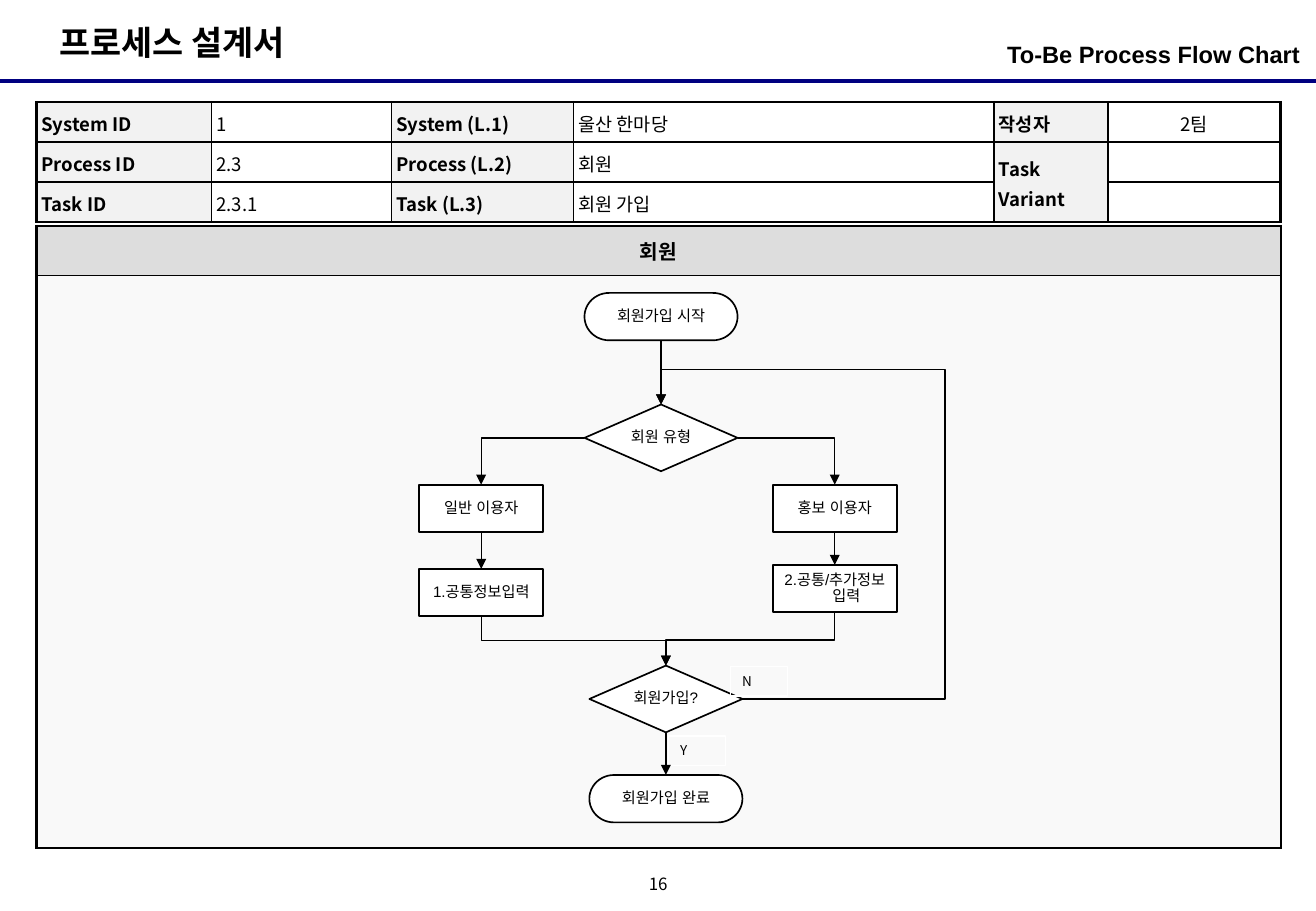
from lxml.etree import SubElement
from pptx import Presentation
from pptx.dml.color import RGBColor
from pptx.enum.shapes import MSO_CONNECTOR, MSO_SHAPE
from pptx.enum.text import MSO_ANCHOR, PP_ALIGN
from pptx.oxml.ns import qn
from pptx.util import Emu, Inches, Pt

W, H = Inches(10.83), Inches(7.5)
COLORS = {"black": "000000", "white": "FFFFFF", "navy": "000080",
          "label": "F2F2F2", "band": "DDDDDD", "panel": "F9F9F9"}
NOTO, ARIAL = "Noto Sans CJK KR", "Arial"
TOP, LEFT, BOTTOM, RIGHT = range(4)
TABLE_X, TABLE_W = 2.77, 94.55
INFO_COLS = [13.3, 13.67, 13.85, 31.95, 8.68, 13.1]
INFO_ROWS = [
    ["System ID", "1", "System (L.1)", "울산 한마당", "작성자", "2팀"],
    ["Process ID", "2.3", "Process (L.2)", "회원", "Task Variant", ""],
    ["Task ID", "2.3.1", "Task (L.3)", "회원 가입", "", ""],
]
# Column centres of the flow, in percent of the slide width
GENERAL, START, JOIN, PROMO = 36.57, 50.23, 50.6, 63.43
WIDE, NARROW, LOW, TALL = 11.63, 9.42, 5.2, 7.33


def color(name):
    return RGBColor.from_string(COLORS[name])


def x(percent):
    return Emu(round(W * percent / 100))


def y(percent):
    return Emu(round(H * percent / 100))


def box(left, top, width, height):
    """Turn percent shares of the slide into lengths."""
    return x(left), y(top), x(width), y(height)


def write(tf, text, size, font=NOTO, bold=False, align=PP_ALIGN.LEFT, spacing=None):
    p = tf.paragraphs[0]
    p.alignment = align
    if spacing:
        p.line_spacing = spacing
    f = p.font
    f.size, f.bold, f.name = Pt(size), bold, font
    f.color.rgb = color("black")
    SubElement(f._element, qn("a:ea"), typeface=font)
    if text:
        p.add_run().text = text
    else:
        SubElement(p._p, qn("a:endParaRPr"), sz=str(size * 100))
    return p


def set_margins(frame, side, end):
    frame.margin_left = frame.margin_right = Inches(side)
    frame.margin_top = frame.margin_bottom = Inches(end)


def add_text(s, place, text, size, margins=(0.1, 0.05), wrap=False,
             anchor=MSO_ANCHOR.TOP, **style):
    tf = s.shapes.add_textbox(*box(*place)).text_frame
    tf.word_wrap, tf.vertical_anchor = wrap, anchor
    set_margins(tf, *margins)
    write(tf, text, size, **style)


def set_borders(cell, **widths):
    tcPr = cell._tc.get_or_add_tcPr()
    for side in "LRTB":
        ln = SubElement(tcPr, qn(f"a:ln{side}"), w=str(Pt(widths[side])))
        fill = SubElement(ln, qn("a:solidFill"))
        SubElement(fill, qn("a:srgbClr"), val=COLORS["black"])


def add_table(s, top, cols, rows, inner):
    """Add an unstyled table with a 1.5 pt frame and inner rules."""
    table = s.shapes.add_table(len(rows), len(cols),
                               *box(TABLE_X, top, sum(cols), sum(rows))).table
    table.first_row = table.horz_banding = False
    for col, width in zip(table.columns, cols):
        col.width = x(width)
    for row, height in zip(table.rows, rows):
        row.height = y(height)
    for i in range(len(rows)):
        for j in range(len(cols)):
            cell = table.cell(i, j)
            set_borders(cell, L=inner if j else 1.5, T=inner if i else 1.5,
                        R=inner if j < len(cols) - 1 else 1.5,
                        B=inner if i < len(rows) - 1 else 1.5)
            cell.fill.background()
    return table


def fill_cell(cell, name):
    cell.fill.solid()
    cell.fill.fore_color.rgb = color(name)


def add_info_table(s):
    table = add_table(s, 11.2, INFO_COLS, [4.39] * 3, 1)
    for i, row in enumerate(INFO_ROWS):
        for j, text in enumerate(row):
            cell, label = table.cell(i, j), j % 2 == 0
            set_margins(cell, 0.04, 0.04)
            cell.vertical_anchor = MSO_ANCHOR.MIDDLE
            write(cell.text_frame, text, 11, bold=label, spacing=1.1,
                  align=PP_ALIGN.CENTER if j == 5 else PP_ALIGN.LEFT)
            if label:
                fill_cell(cell, "label")
    table.cell(1, 4).merge(table.cell(2, 4))


def add_panel(s):
    table = add_table(s, 24.8, [TABLE_W], [5.47, 62.8], 0.75)
    head, body = table.cell(0, 0), table.cell(1, 0)
    head.vertical_anchor = MSO_ANCHOR.MIDDLE
    write(head.text_frame, "회원", 12, bold=True, align=PP_ALIGN.CENTER)
    fill_cell(head, "band")
    fill_cell(body, "panel")


def add_node(s, kind, center, middle, width, height, text):
    sp = s.shapes.add_shape(kind, *box(center - width / 2, middle - height / 2,
                                       width, height))
    sp.shadow.inherit = False
    sp.fill.solid()
    sp.fill.fore_color.rgb = color("white")
    sp.line.color.rgb = color("black")
    sp.line.width = Pt(1)
    tf = sp.text_frame
    tf.word_wrap, tf.vertical_anchor = True, MSO_ANCHOR.MIDDLE
    set_margins(tf, 0.02, 0)
    p = write(tf, text, 9, ARIAL, align=PP_ALIGN.CENTER, spacing=0.9)
    pPr = p._p.get_or_add_pPr()
    pPr.set("marL", str(Inches(0.19)))
    pPr.set("indent", str(-Inches(0.19)))
    return sp


def add_answer(s, left, top, text):
    sp = s.shapes.add_shape(MSO_SHAPE.RECTANGLE, *box(left, top, 4.34, 3.2))
    sp.shadow.inherit = False
    sp.fill.background()
    sp.line.color.rgb = color("white")
    sp.line.width = Pt(0.75)
    sp.text_frame.word_wrap = True
    sp.text_frame.vertical_anchor = MSO_ANCHOR.TOP
    write(sp.text_frame, text, 8)


def style_line(c, name, width):
    c.line.color.rgb = color(name)
    c.line.width = Pt(width)
    SubElement(c._element.spPr, qn("a:effectLst"))


def turn(c):
    """Rotate an elbow so that it leaves and arrives vertically."""
    leftward = c.begin_x > c.end_x
    mid_x, mid_y = c.left + c.width // 2, c.top + c.height // 2
    c.width, c.height = c.height, c.width
    c.left, c.top = Emu(mid_x - c.width // 2), Emu(mid_y - c.height // 2)
    xfrm = c._element.spPr.find(qn("a:xfrm"))
    xfrm.set("rot", str((90 if leftward else 270) * 60000))
    xfrm.set("flipH", "0" if leftward else "1")


def connect(s, start, start_site, end, end_site, preset="line", adj=()):
    kind = MSO_CONNECTOR.STRAIGHT if preset == "line" else MSO_CONNECTOR.ELBOW
    c = s.shapes.add_connector(kind, 0, 0, 0, 0)
    c.begin_connect(start, start_site)
    c.end_connect(end, end_site)
    if preset == "bentConnector3":
        turn(c)
    style_line(c, "black", 0.75)
    spPr = c._element.spPr
    SubElement(spPr.find(qn("a:ln")), qn("a:tailEnd"), type="triangle")
    geom = spPr.find(qn("a:prstGeom"))
    geom.set("prst", preset)
    for n, share in enumerate(adj, 1):
        SubElement(geom.find(qn("a:avLst")), qn("a:gd"), name=f"adj{n}",
                   fmla=f"val {round(share * 100000)}")


def add_flow(s):
    end, choice, step = (MSO_SHAPE.FLOWCHART_TERMINATOR,
                         MSO_SHAPE.FLOWCHART_DECISION, MSO_SHAPE.RECTANGLE)
    begin = add_node(s, end, START, 34.75, WIDE, LOW, "회원가입 시작")
    member = add_node(s, choice, START, 48.07, WIDE, TALL, "회원 유형")
    general = add_node(s, step, GENERAL, 55.8, NARROW, LOW, "일반 이용자")
    promo = add_node(s, step, PROMO, 55.8, NARROW, LOW, "홍보 이용자")
    common = add_node(s, step, GENERAL, 65.05, NARROW, LOW, "1.공통정보입력")
    extra = add_node(s, step, PROMO, 64.6, NARROW, LOW, "2.공통/추가정보 입력")
    joined = add_node(s, choice, JOIN, 76.73, WIDE, TALL, "회원가입?")
    done = add_node(s, end, JOIN, 87.67, WIDE, LOW, "회원가입 완료")
    add_answer(s, 50.78, 80.8, "Y")
    add_answer(s, 55.49, 73.2, "N")
    for a, b in [(begin, member), (general, common), (promo, extra), (joined, done)]:
        connect(s, a, BOTTOM, b, TOP)
    connect(s, member, LEFT, general, TOP, "bentConnector2")
    connect(s, member, RIGHT, promo, TOP, "bentConnector2")
    connect(s, common, BOTTOM, joined, TOP, "bentConnector3", [0.5])
    connect(s, extra, BOTTOM, joined, TOP, "bentConnector3", [0.52])
    connect(s, joined, RIGHT, member, TOP, "bentConnector4", [-2.49, 1.12])


def main():
    prs = Presentation()
    prs.slide_width, prs.slide_height = W, H
    s = prs.slides.add_slide(prs.slide_layouts[6])
    rule = s.shapes.add_connector(MSO_CONNECTOR.STRAIGHT, 0, y(8.93), W, y(8.93))
    style_line(rule, "navy", 2.25)
    add_text(s, (3.6, 1.73, 20.87, 5.87), "프로세스 설계서", 20, bold=True)
    add_text(s, (68.24, 3.73, 30.56, 5.2), "To-Be Process Flow Chart", 14, (0, 0.05),
             wrap=True, font=ARIAL, bold=True, align=PP_ALIGN.RIGHT)
    add_text(s, (48.48, 95.6, 3.05, 3.33), "16", 10, (0, 0), anchor=MSO_ANCHOR.MIDDLE,
             align=PP_ALIGN.CENTER, spacing=0.8)
    add_panel(s)
    add_info_table(s)
    add_flow(s)
    prs.save("out.pptx")


if __name__ == "__main__":
    main()
